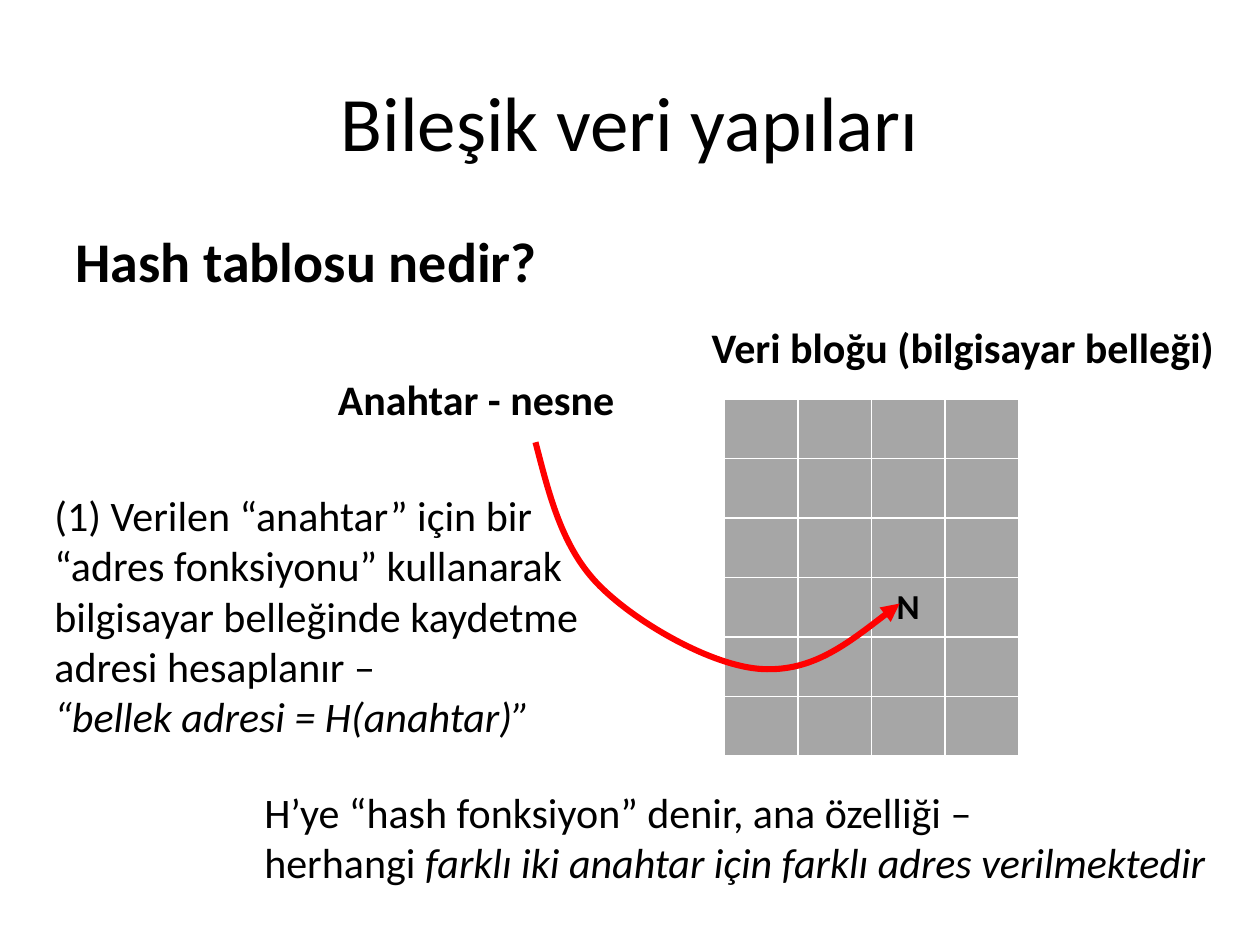
"""Build the hash table slide with its memory block and key arrow."""
from lxml.etree import SubElement
from pptx import Presentation
from pptx.dml.color import RGBColor
from pptx.enum.text import MSO_ANCHOR as Anchor, PP_ALIGN as Align
from pptx.oxml import parse_xml
from pptx.oxml.ns import nsdecls, qn
from pptx.util import Pt


def color(value):
    return RGBColor.from_string(value)


def write(para, spans, **formats):
    for text, italic in spans:
        for index, line in enumerate(text.split("\n")):
            if index:
                para.add_line_break()
            if line:
                span = para.add_run()
                span.text = line
                span.font.color.rgb = color("000000")
                for name, value in {"name": "Calibri", "italic": italic, **formats}.items():
                    setattr(span.font, name, value)


deck = Presentation()
deck.slide_width, deck.slide_height = Pt(720), Pt(540)
page = deck.slides.add_slide(deck.slide_layouts[6])

title = [("Bileşik veri yapıları", False)]
heading = [("Hash tablosu nedir?", False)]
block_label = [("Veri bloğu (bilgisayar belleği)", False)]
key_label = [("Anahtar - nesne", False)]
step = [
    ("(1) Verilen “anahtar” için bir \n“adres fonksiyonu” kullanarak bilgisayar "
     "belleğinde kaydetme adresi hesaplanır – \n", False),
    ("“bellek adresi = H(anahtar)”", True),
]
rule = [
    ("H’ye “hash fonksiyon” denir, ana özelliği – \nherhangi ", False),
    ("farklı iki anahtar için farklı adres verilmektedir", True),
]

rows, columns = 6, 4
frame = page.shapes.add_table(rows, columns, Pt(414), Pt(228), Pt(168), Pt(204))
table = frame.table
table.first_row = table.horz_banding = False
for row in range(rows):
    table.rows[row].height = Pt(34)
    for column in range(columns):
        table.columns[column].width = Pt(42)
        cell = table.cell(row, column)
        cell.vertical_anchor = Anchor.MIDDLE
        properties = cell._tc.get_or_add_tcPr()
        for side in ("lnL", "lnR", "lnT", "lnB"):
            properties.append(parse_xml(
                f'<a:{side} {nsdecls("a")} w="{Pt(1)}"><a:solidFill>'
                f'<a:srgbClr val="FFFFFF"/></a:solidFill></a:{side}>'))
        cell.fill.solid()
        cell.fill.fore_color.rgb = color("A6A6A6")
target = table.cell(3, 2).text_frame.paragraphs[0]
target.alignment = Align.CENTER
write(target, [("N", False)], size=Pt(20), bold=True)

texts = [
    (36, 24, 648, 90, title, 44, False, Align.CENTER, Anchor.MIDDLE, True),
    (36, 126, 648, 356, heading, 32, True, Align.LEFT, Anchor.TOP, True),
    (399.6, 180, 304.6, 36, block_label, 24, True, Align.LEFT, Anchor.TOP, False),
    (186, 210, 174, 36, key_label, 24, True, Align.LEFT, Anchor.TOP, False),
    (24, 276, 372, 152.6, step, 24, False, Align.LEFT, Anchor.TOP, True),
    (144, 445.7, 576, 65.5, rule, 24, False, Align.LEFT, Anchor.TOP, True),
]
for left, top, width, height, spans, size, bold, align, anchor, wrap in texts:
    box = page.shapes.add_textbox(Pt(left), Pt(top), Pt(width), Pt(height))
    box.text_frame.word_wrap = wrap
    box.text_frame.vertical_anchor = anchor
    para = box.text_frame.paragraphs[0]
    para.alignment = align
    write(para, spans, size=Pt(size), bold=bold)

start, *curve = [
    (306, 252.7),
    (313.9, 283), (321.1, 313.2), (342.7, 334.8),
    (364.3, 356.4), (407.5, 380.9), (435.6, 382.3),
    (464.4, 383.8), (488.9, 364.3), (514.1, 344.9),
]
builder = page.shapes.build_freeform(Pt(start[0]), Pt(start[1]))
builder.add_line_segments([(Pt(x), Pt(y)) for x, y in curve], close=False)
arrow = builder.convert_to_shape()
arrow.shadow.inherit = False
arrow.fill.background()
arrow.line.color.rgb = color("FF0000")
arrow.line.width = Pt(3.5)
SubElement(arrow.line._get_or_add_ln(), qn("a:tailEnd"), type="triangle")
outline = arrow._element.xpath(".//a:path")[0]
segments = outline.findall(qn("a:lnTo"))
for first in range(0, len(segments), 3):
    bezier = SubElement(outline, qn("a:cubicBezTo"))
    for segment in segments[first:first + 3]:
        bezier.append(segment[0])
        outline.remove(segment)

deck.save("out.pptx")
